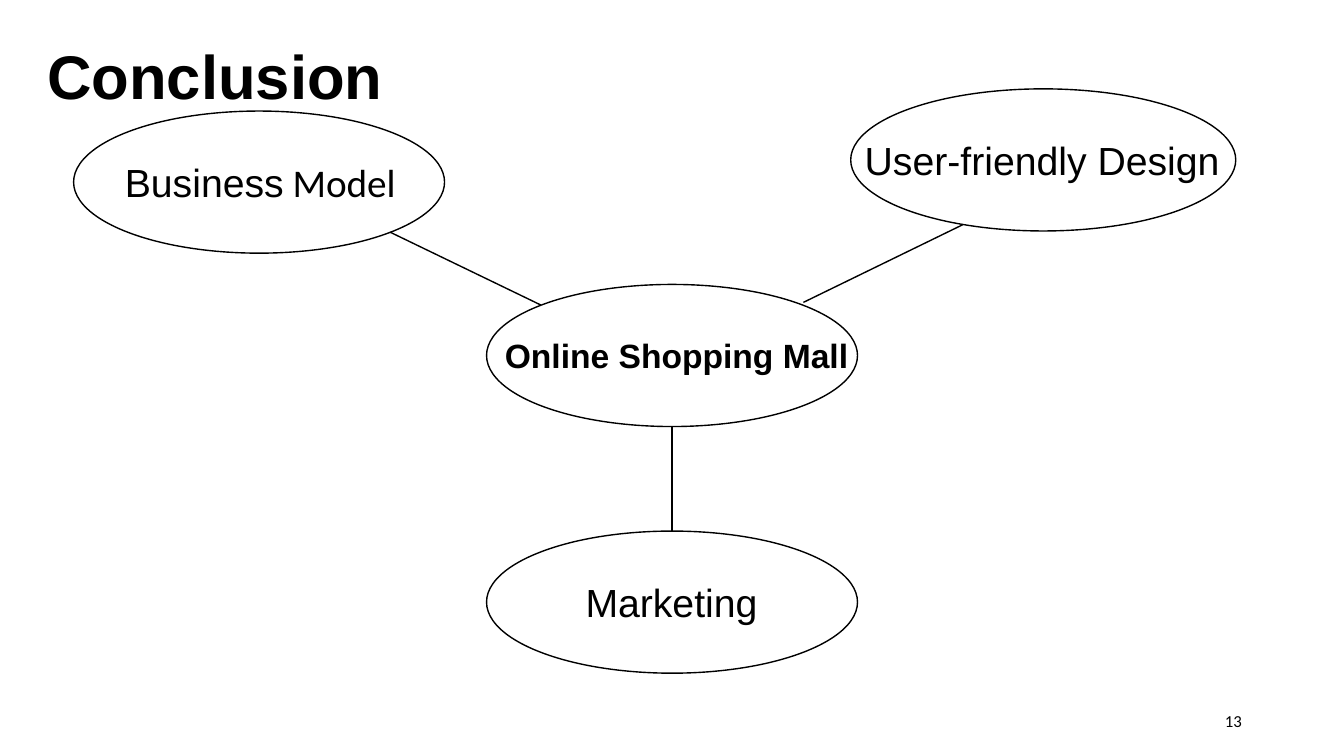
from lxml import etree
from pptx import Presentation, util as u
from pptx.dml.color import RGBColor
from pptx.enum import shapes, text
from pptx.oxml.ns import qn

THEME = {
    "ink": RGBColor(0, 0, 0),
    "heading_font": "Arial", "body_font": "Calibri",
    "title": 44, "idea": 28, "hub": 24, "number": 12, "line": 1,
}

deck = Presentation()
deck.slide_width, deck.slide_height = u.Inches(13.33), u.Inches(7.5)
slide = deck.slides.add_slide(deck.slide_layouts[6])

# Grid: 40 columns by 22.5 rows of square cells
COLUMN, ROW = deck.slide_width / 40, deck.slide_height / 22.5


def place(left, top, width, height):
    return [round(n * cell) for n, cell in
            zip((left, top, width, height), (COLUMN, ROW, COLUMN, ROW))]


def write(box, runs, size, bold=False, align=text.PP_ALIGN.LEFT):
    frame = slide.shapes.add_textbox(*place(*box)).text_frame
    frame.word_wrap = True
    frame.vertical_anchor = text.MSO_ANCHOR.MIDDLE
    line = frame.paragraphs[0]
    line.alignment = align
    for words, face in runs:
        run = line.add_run()
        run.text = words
        look = {"name": THEME[face], "size": u.Pt(THEME[size]), "bold": bold}
        for attribute, value in look.items():
            setattr(run.font, attribute, value)
        run.font.color.rgb = THEME["ink"]


# Page number and title
write((28.26, 20.85, 9, 1.2), [("13", "body_font")], "number",
      align=text.PP_ALIGN.RIGHT)
write((1.11, 0.96, 10.68, 2.52), [("Conclusion", "heading_font")], "title", bold=True)

# Spokes from the hub to the ideas: start column, start row, end column, end row
spokes = [
    (11.61, 6.91, 16.1, 9.08),
    (28.65, 6.69, 23.91, 9),
    (20, 12.7, 20, 15.81),
]
for spoke in spokes:
    link = slide.shapes.add_connector(shapes.MSO_CONNECTOR.STRAIGHT, *place(*spoke))
    link.line.color.rgb = THEME["ink"]
    link.line.width = u.Pt(THEME["line"])
    etree.SubElement(link._element.spPr, qn("a:effectLst"))

# Ovals: centre column, centre row, width, label left, label width, runs, size
OVAL_HEIGHT, LABEL_HEIGHT = 4.23, 1.71
ideas = [
    (20, 10.58, 11.04, 14.73, 13.02,
     [("Online Shopping Mall", "heading_font")], "hub"),
    (7.71, 5.42, 11.04, 3.42, 10.23,
     [("Business", "heading_font"), (" Model", "body_font")], "idea"),
    (31.05, 4.76, 11.46, 25.44, 11.52,
     [("User-friendly Design", "heading_font")], "idea"),
    (20, 17.92, 11.04, 17.13, 11.52,
     [("Marketing", "heading_font")], "idea"),
]
for column, row, width, label_left, label_width, runs, size in ideas:
    oval = slide.shapes.add_shape(
        shapes.MSO_SHAPE.OVAL,
        *place(column - width / 2, row - OVAL_HEIGHT / 2, width, OVAL_HEIGHT))
    oval.shadow.inherit = False
    oval.fill.background()
    oval.line.color.rgb = THEME["ink"]
    oval.line.width = u.Pt(THEME["line"])
    write((label_left, row - LABEL_HEIGHT / 2, label_width, LABEL_HEIGHT),
          runs, size, bold=size == "hub")

deck.save("out.pptx")
